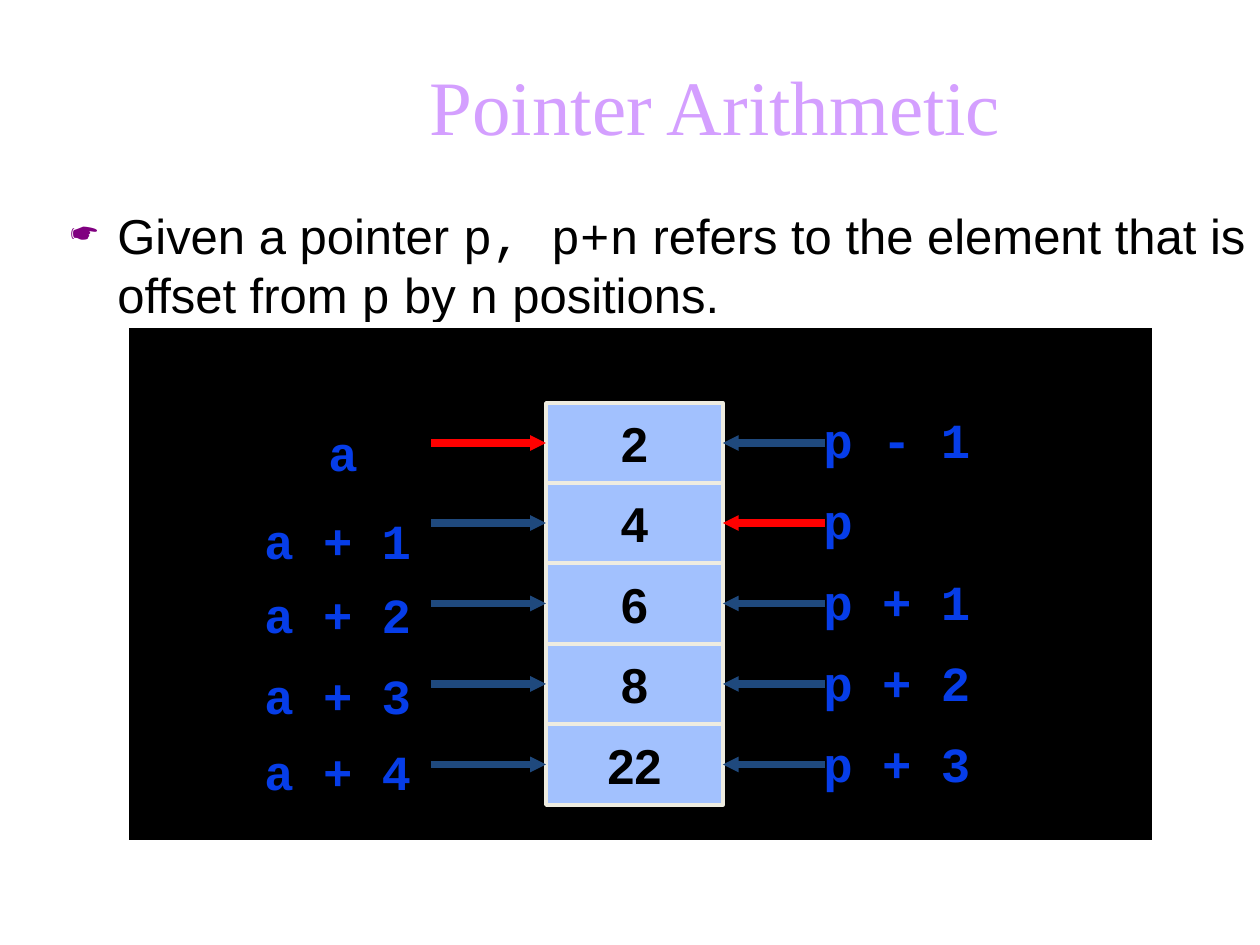
"""Build the Pointer Arithmetic slide with an array and its pointer labels."""
from typing import NamedTuple

from lxml import etree
from pptx import Presentation
from pptx.dml.color import RGBColor
from pptx.enum.shapes import MSO_CONNECTOR, MSO_SHAPE
from pptx.enum.text import MSO_ANCHOR, MSO_AUTO_SIZE, PP_ALIGN
from pptx.oxml.ns import qn
from pptx.util import Emu, Pt

RECTANGLE = MSO_SHAPE.RECTANGLE
STRAIGHT = MSO_CONNECTOR.STRAIGHT
MIDDLE, BOTTOM = MSO_ANCHOR.MIDDLE, MSO_ANCHOR.BOTTOM
CENTER = PP_ALIGN.CENTER
FIXED_SIZE = MSO_AUTO_SIZE.NONE
LEFT_SIDE, RIGHT_SIDE = 1, 3

SANS, MONO, SERIF = "Arial", "Courier New", "Times New Roman"
BLACK, WHITE, RED, NAVY = "000000", "FFFFFF", "FF0000", "1F497D"
LILAC, PURPLE, LABEL_BLUE = "D49FFF", "800080", "063DE8"
CELL_BLUE, CELL_EDGE = "A2C1FE", "EEECE1"

ARRAY_LEFT, ARRAY_TOP, ARRAY_WIDTH, ARRAY_HEIGHT = 546, 403, 177, 402
LEFT_ARROW_START, RIGHT_ARROW_START = 431, 825
RIGHT_LABEL_LEFT, RIGHT_LABEL_STEP = 811, 81
LABEL_HEIGHT = 72


class Row(NamedTuple):
    """One array element with its label on either side."""
    value: str
    array_label: str
    array_label_left: int
    array_label_top: int
    array_arrow: str
    pointer_label: str
    pointer_arrow: str


ROWS = [
    Row("2", "a", 316, 416, RED, "p - 1", NAVY),
    Row("4", "a + 1", 252, 504, NAVY, "p", RED),
    Row("6", "a + 2", 252, 578, NAVY, "p + 1", NAVY),
    Row("8", "a + 3", 252, 659, NAVY, "p + 2", NAVY),
    Row("22", "a + 4", 252, 735, NAVY, "p + 3", NAVY),
]

STATEMENT = [
    ("Given a pointer ", SANS), ("p, p+n", MONO),
    (" refers to the element that is offset from ", SANS), ("p", MONO),
    (" by ", SANS), ("n", MONO), (" positions.", SANS),
]


def px(length: int) -> Emu:
    """Turn pixels into EMU."""
    return Emu(round(length * 914400 / 126))


def color(value: str) -> RGBColor:
    """Turn a hex string into a colour."""
    return RGBColor.from_string(value)


def set_font(font, name: str, size: int, hue: str, bold: bool = False) -> None:
    """Set the look of a font."""
    font.name, font.size, font.bold = name, Pt(size), bold
    font.color.rgb = color(hue)


def add_box(slide, left: int, top: int, width: int, height: int,
            fill: str, edge: str, edge_width: float):
    """Add a filled rectangle."""
    box = slide.shapes.add_shape(RECTANGLE, px(left), px(top), px(width), px(height))
    box.shadow.inherit = False
    box.fill.solid()
    box.fill.fore_color.rgb = color(fill)
    box.line.color.rgb = color(edge)
    box.line.width = Pt(edge_width)
    return box


def add_title(slide) -> None:
    """Place and format the title."""
    title = slide.shapes.title
    title.left, title.top, title.width, title.height = px(173), px(63), px(1085), px(94)
    frame = title.text_frame
    frame.text = "Pointer Arithmetic"
    frame.auto_size = FIXED_SIZE
    frame.vertical_anchor = BOTTOM
    heading = frame.paragraphs[0]
    heading.alignment = CENTER
    set_font(heading.font, SERIF, 44, LILAC)


def add_statement(slide) -> None:
    """Add the bulleted statement in mixed fonts."""
    frame = slide.shapes.add_textbox(px(58), px(199), px(1202), px(708)).text_frame
    frame.word_wrap = True
    bullet = frame.paragraphs[0]
    bullet.space_before = Pt(5.6)
    properties = bullet._p.get_or_add_pPr()
    properties.set("marL", str(px(47)))
    properties.set("indent", str(px(-47)))
    bullet_color = etree.SubElement(properties, qn("a:buClr"))
    etree.SubElement(bullet_color, qn("a:srgbClr"), val=PURPLE)
    etree.SubElement(properties, qn("a:buSzPct"), val="75000")
    etree.SubElement(properties, qn("a:buChar"), char="☛")
    for words, family in STATEMENT:
        run = bullet.add_run()
        run.text = words
        set_font(run.font, family, 28, BLACK)


def add_cell(slide, value: str, top: int, height: int):
    """Add one array element."""
    cell = add_box(slide, ARRAY_LEFT, top, ARRAY_WIDTH, height, CELL_BLUE, CELL_EDGE, 2)
    frame = cell.text_frame
    frame.text = value
    frame.word_wrap = False
    frame.vertical_anchor = MIDDLE
    number = frame.paragraphs[0]
    number.alignment = CENTER
    number.space_before = Pt(5.6)
    set_font(number.font, SANS, 28, BLACK, bold=True)
    return cell


def add_label(slide, text: str, left: int, top: int, width: int) -> None:
    """Add a pointer expression."""
    box = slide.shapes.add_textbox(px(left), px(top), px(width), px(LABEL_HEIGHT))
    frame = box.text_frame
    frame.word_wrap = True
    frame.text = text
    expression = frame.paragraphs[0]
    expression.space_before = Pt(5.6)
    set_font(expression.font, MONO, 28, LABEL_BLUE, bold=True)


def add_arrow(slide, start: int, cell, side: int, hue: str) -> None:
    """Add a level arrow joined to one side of a cell."""
    level = cell.top + cell.height // 2
    arrow = slide.shapes.add_connector(STRAIGHT, px(start), level, cell.left, level)
    arrow.end_connect(cell, side)
    arrow.line.color.rgb = color(hue)
    arrow.line.width = Pt(4.5)
    etree.SubElement(arrow.line._get_or_add_ln(), qn("a:tailEnd"),
                     type="triangle", w="sm", len="sm")
    etree.SubElement(arrow._element.spPr, qn("a:effectLst"))


def main() -> None:
    """Build and save the slide."""
    deck = Presentation()
    deck.slide_width, deck.slide_height = px(1260), px(945)
    slide = deck.slides.add_slide(deck.slide_layouts[5])
    add_title(slide)
    add_statement(slide)
    add_box(slide, 126, 325, 1029, 518, BLACK, WHITE, 3.5)

    edges = [ARRAY_TOP + ARRAY_HEIGHT * i // len(ROWS) for i in range(len(ROWS) + 1)]
    for index, row in enumerate(ROWS):
        top = edges[index]
        cell = add_cell(slide, row.value, top, edges[index + 1] - top)
        add_label(slide, row.array_label, row.array_label_left, row.array_label_top, 191)
        add_label(slide, row.pointer_label, RIGHT_LABEL_LEFT,
                  ARRAY_TOP + RIGHT_LABEL_STEP * index, 207)
        add_arrow(slide, LEFT_ARROW_START, cell, LEFT_SIDE, row.array_arrow)
        add_arrow(slide, RIGHT_ARROW_START, cell, RIGHT_SIDE, row.pointer_arrow)
    deck.save("out.pptx")


if __name__ == "__main__":
    main()
